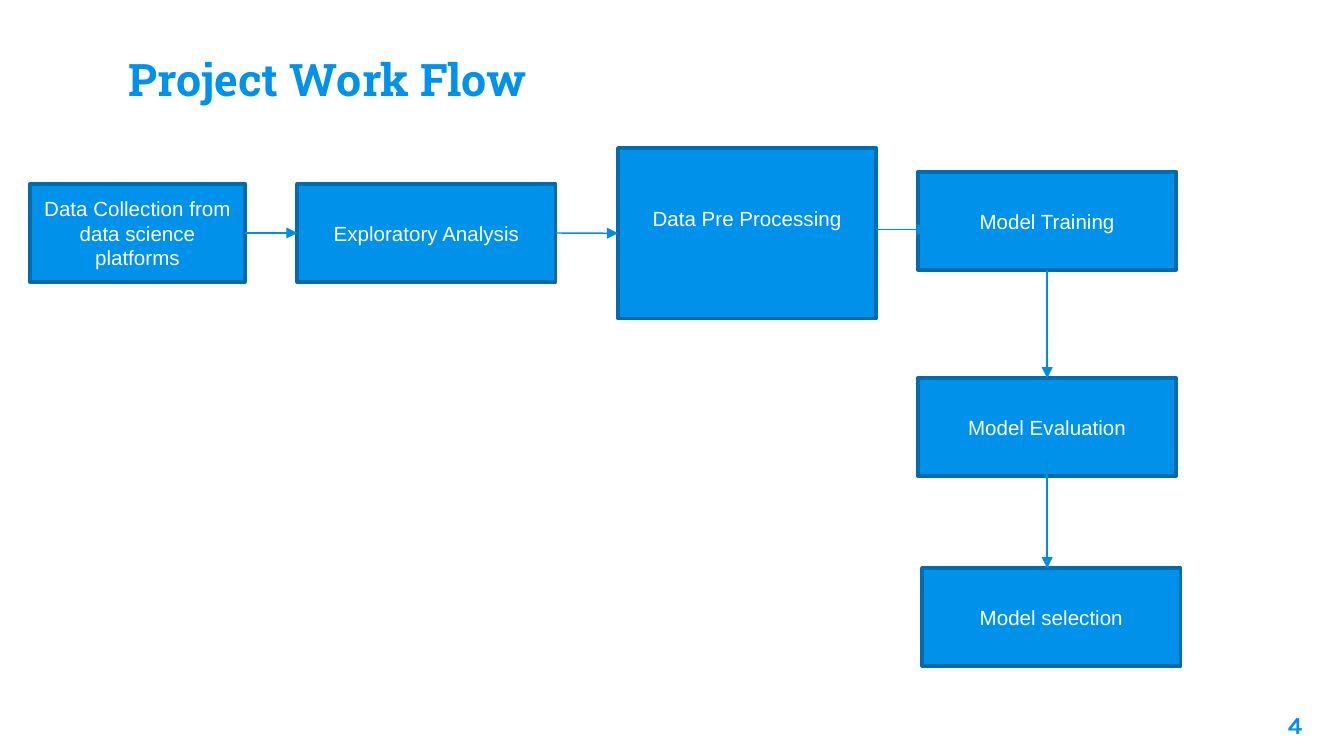
from lxml.etree import SubElement
from pptx import Presentation
from pptx.dml.color import RGBColor
from pptx.enum.shapes import MSO_CONNECTOR, MSO_SHAPE
from pptx.enum.text import MSO_ANCHOR, MSO_AUTO_SIZE, PP_ALIGN
from pptx.oxml.ns import qn
from pptx.util import Cm, Pt

COLORS = {"blue": "0091EA", "border": "006BAD", "arrow": "008EE5", "white": "FFFFFF"}
RIGHT, LEFT, TOP, BOTTOM = 3, 1, 0, 2

# Each step: text, box (left, top, width, height), bottom inset, all in cm
STEP_WIDTH, STEP_HEIGHT = 4.88, 1.85
STEPS = {
    "collection": ("Data Collection from data science platforms", (0.57, 3.48, 4.06, STEP_HEIGHT), 0.13),
    "analysis": ("Exploratory Analysis", (5.62, 3.48, STEP_WIDTH, STEP_HEIGHT), 0.13),
    "processing": ("Data Pre Processing", (11.68, 2.8, STEP_WIDTH, 3.22), 0.71),
    "training": ("Model Training", (17.35, 3.25, STEP_WIDTH, STEP_HEIGHT), 0.13),
    "evaluation": ("Model Evaluation", (17.35, 7.15, STEP_WIDTH, STEP_HEIGHT), 0.13),
    "selection": ("Model selection", (17.43, 10.74, STEP_WIDTH, STEP_HEIGHT), 0.13),
}
JOINED_ARROWS = [
    ("collection", RIGHT, "analysis", LEFT),
    ("analysis", RIGHT, "processing", LEFT),
    ("training", BOTTOM, "evaluation", TOP),
]
# Arrows that do not meet the middle of a side: from x, y to x, y
FREE_ARROWS = [(16.56, 4.34, 17.53, 4.34), (19.79, 8.71, 19.79, 10.74)]


def color(name):
    return RGBColor.from_string(COLORS[name])


def write_text(shape, text, *, size, font, fill, bold=False, align=PP_ALIGN.LEFT,
               anchor=MSO_ANCHOR.TOP, inset=0.25, vertical_inset=0.25, bottom_inset=None):
    frame = shape.text_frame
    frame.word_wrap = True
    frame.auto_size = MSO_AUTO_SIZE.NONE
    frame.vertical_anchor = anchor
    frame.margin_left = frame.margin_right = Cm(inset)
    frame.margin_top = Cm(vertical_inset)
    frame.margin_bottom = Cm(vertical_inset if bottom_inset is None else bottom_inset)
    paragraph = frame.paragraphs[0]
    paragraph.alignment = align
    run = paragraph.add_run()
    run.text = text
    run.font.size = Pt(size)
    run.font.name = font
    run.font.bold = bold
    run.font.color.rgb = color(fill)


def add_title(slide, box, text):
    title = slide.shapes.title
    title.left, title.top, title.width, title.height = map(Cm, box)
    write_text(title, text, size=24, font="Roboto Slab", fill="blue", bold=True,
               anchor=MSO_ANCHOR.BOTTOM)


def add_page_number(slide, box, text):
    number = slide.shapes.add_textbox(*map(Cm, box))
    write_text(number, text, size=13, font="Karla", fill="blue", bold=True,
               align=PP_ALIGN.RIGHT)


def add_step(slide, box, text, bottom_inset):
    step = slide.shapes.add_shape(MSO_SHAPE.RECTANGLE, *map(Cm, box))
    step.shadow.inherit = False
    step.fill.solid()
    step.fill.fore_color.rgb = color("blue")
    step.line.color.rgb = color("border")
    step.line.width = Pt(2)
    write_text(step, text, size=11, font="Arial", fill="white", align=PP_ALIGN.CENTER,
               anchor=MSO_ANCHOR.MIDDLE, vertical_inset=0.13, bottom_inset=bottom_inset)
    return step


def add_arrow(slide, points=(0, 0, 0, 0)):
    arrow = slide.shapes.add_connector(MSO_CONNECTOR.STRAIGHT, *map(Cm, points))
    arrow.line.color.rgb = color("arrow")
    arrow.line.width = Pt(0.75)
    SubElement(arrow.line._get_or_add_ln(), qn("a:tailEnd"), type="triangle")
    SubElement(arrow._element.spPr, qn("a:effectLst"))
    return arrow


def add_work_flow(slide):
    steps = {name: add_step(slide, box, text, inset)
             for name, (text, box, inset) in STEPS.items()}
    for start, start_side, end, end_side in JOINED_ARROWS:
        arrow = add_arrow(slide)
        arrow.begin_connect(steps[start], start_side)
        arrow.end_connect(steps[end], end_side)
    for points in FREE_ARROWS:
        add_arrow(slide, points)


def main():
    presentation = Presentation()
    presentation.slide_width, presentation.slide_height = Cm(25.4), Cm(14.29)
    slide = presentation.slides.add_slide(presentation.slide_layouts[5])
    slide.background.fill.solid()
    slide.background.fill.fore_color.rgb = color("white")

    add_title(slide, (2.18, 0.28, 21.03, 1.96), "Project Work Flow")
    add_page_number(slide, (23.34, 13.18, 1.52, 1.09), "4")
    add_work_flow(slide)
    presentation.save("out.pptx")


if __name__ == "__main__":
    main()
